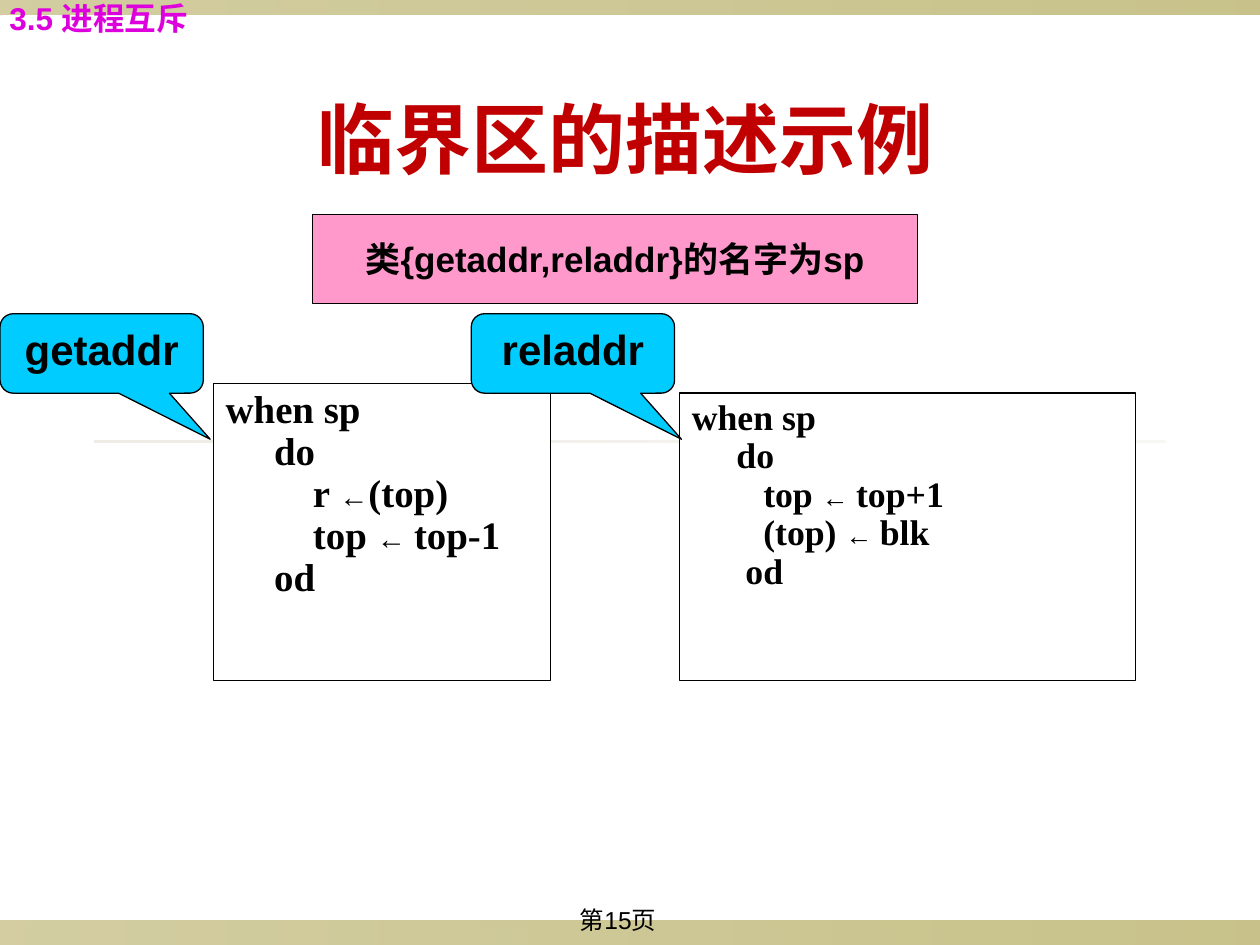
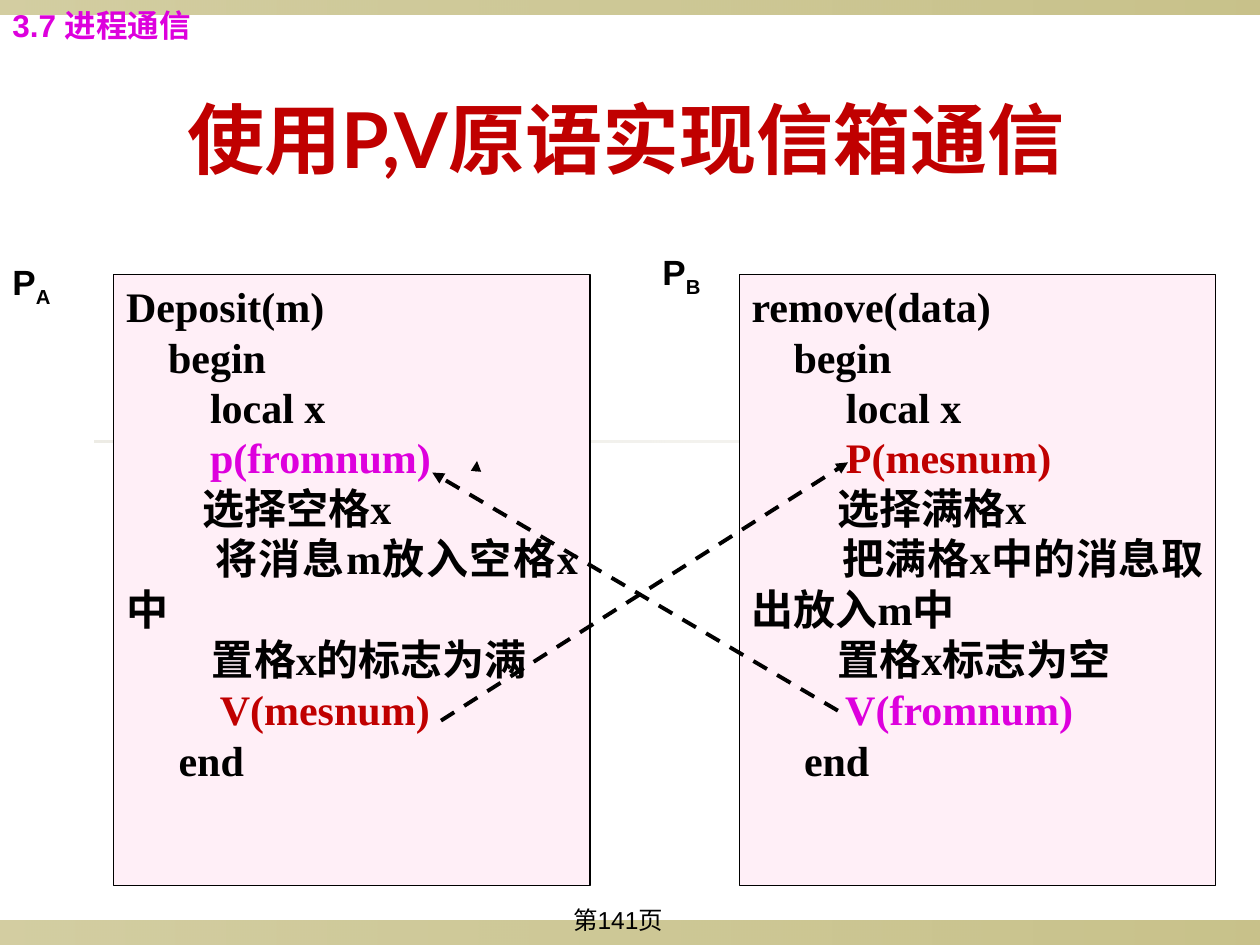
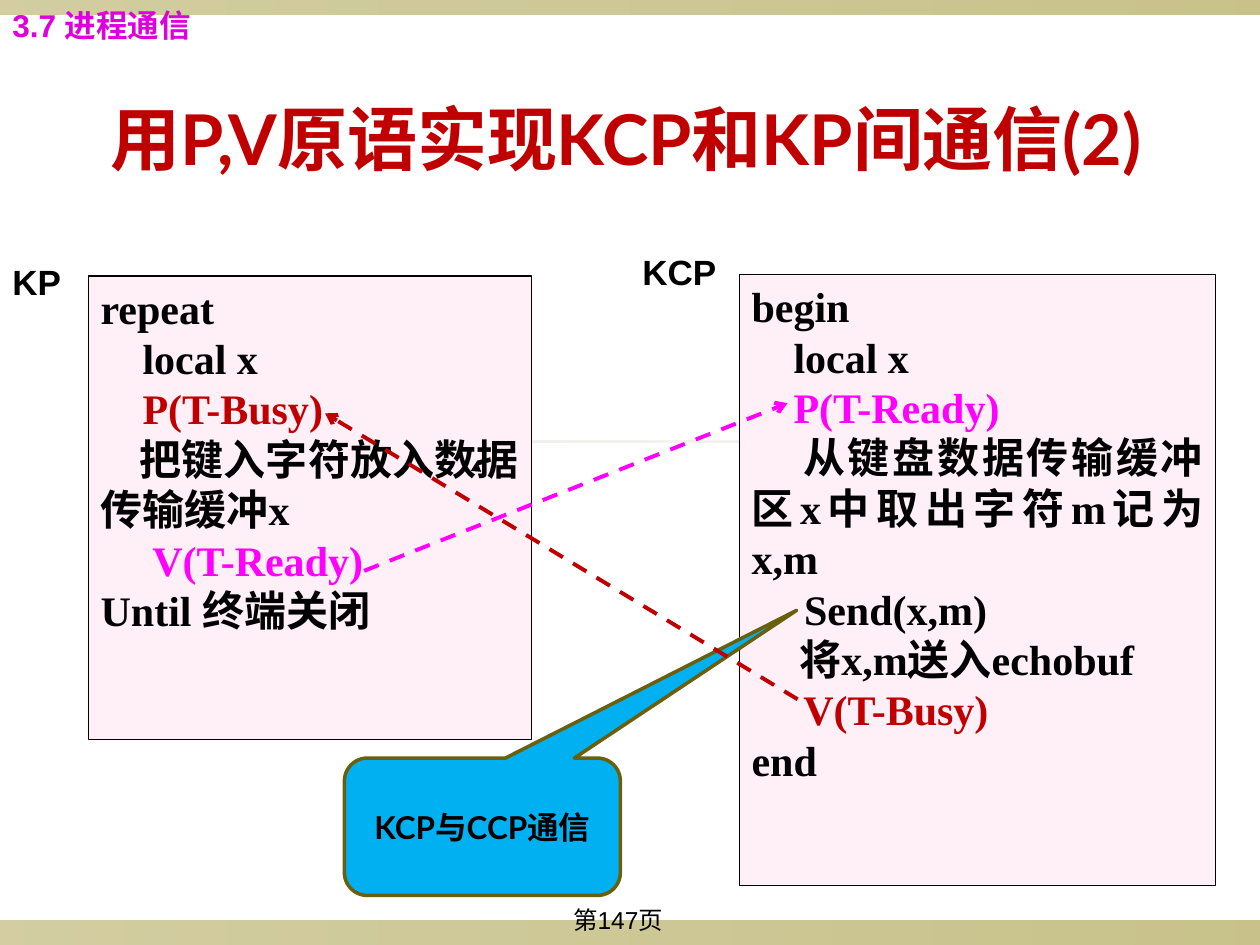
from dataclasses import dataclass, replace
from typing import NamedTuple

from lxml import etree
from pptx import Presentation
from pptx.dml.color import RGBColor
from pptx.enum.dml import MSO_LINE
from pptx.enum.shapes import MSO_CONNECTOR, MSO_SHAPE
from pptx.enum.text import MSO_ANCHOR, PP_ALIGN
from pptx.oxml.ns import qn
from pptx.util import Pt

RECTANGLE = MSO_SHAPE.RECTANGLE
CALLOUT = MSO_SHAPE.ROUNDED_RECTANGULAR_CALLOUT
STRAIGHT = MSO_CONNECTOR.STRAIGHT
DASH = MSO_LINE.DASH
LEFT, CENTER, JUSTIFY = PP_ALIGN.LEFT, PP_ALIGN.CENTER, PP_ALIGN.JUSTIFY
TOP, MIDDLE = MSO_ANCHOR.TOP, MSO_ANCHOR.MIDDLE

BLACK = RGBColor(0x00, 0x00, 0x00)
WHITE = RGBColor(0xFF, 0xFF, 0xFF)
OLIVE = RGBColor(0x91, 0x84, 0x15)
SAND = RGBColor(0xDC, 0xD9, 0xCC)
RED = RGBColor(0xC0, 0x00, 0x00)
PURPLE = RGBColor(0xDD, 0x00, 0xDD)
MAGENTA = RGBColor(0xFF, 0x00, 0xFF)
PINK = RGBColor(0xFF, 0x99, 0xCC)
PALE_PINK = RGBColor(0xFF, 0xEF, 0xF7)
CYAN = RGBColor(0x00, 0xCC, 0xFF)
SKY = RGBColor(0x00, 0xB0, 0xF0)
DARK_OLIVE = RGBColor(0x69, 0x5F, 0x0C)


class Area(NamedTuple):
    left: float
    top: float
    width: float
    height: float


class Point(NamedTuple):
    x: float
    y: float


class Band(NamedTuple):
    area: Area
    color: RGBColor
    opacities: tuple[int, int]


class Span(NamedTuple):
    text: str
    color: RGBColor | None = None
    font: str | None = None
    scale: float = 1
    baseline: int = 0


Line = str | Span | tuple[Span, ...]


@dataclass(frozen=True)
class Style:
    font: str
    size: float
    color: RGBColor = BLACK
    bold: bool = True
    align: PP_ALIGN = LEFT
    anchor: MSO_ANCHOR = TOP
    spacing: float = 1
    wrap: bool = True


@dataclass(frozen=True)
class Panel:
    area: Area
    lines: tuple[Line, ...]
    style: Style
    fill: RGBColor
    border: RGBColor = BLACK
    border_width: float = 0.75
    pointer: tuple[float, float] | None = None


@dataclass(frozen=True)
class Arrow:
    start: Point
    end: Point
    color: RGBColor = BLACK
    width: float = 2.25
    dashed: bool = True
    head: str = "triangle"


@dataclass(frozen=True)
class Label:
    area: Area
    lines: tuple[Line, ...]
    style: Style


@dataclass(frozen=True)
class Page:
    number: int
    title: str
    title_size: float
    section: Label
    items: tuple[Panel | Label | Arrow, ...]


BANDS = (
    Band(Area(0, 525.9, 720, 14.1), OLIVE, (40, 50)),
    Band(Area(0, 0, 720, 8.4), OLIVE, (40, 50)),
    Band(Area(54, 251.7, 612, 1.4), SAND, (50, 20)),
)
TITLE_AREA = Area(33.8, 33.8, 648, 90)
PAGE_AREA = Area(269.3, 513.8, 167.8, 25.9)

TITLE = Style("Lato", 44, RED, align=CENTER, anchor=MIDDLE)
PAGE_NUMBER = Style("Arial", 14, bold=False, align=CENTER)
SECTION = Style("Arial", 18, PURPLE)
PROCESS = Style("Arial", 20)
CODE = Style("Times New Roman", 24, align=JUSTIFY)
GETADDR_CODE = replace(CODE, size=22.2, spacing=0.9)
RELADDR_CODE = replace(CODE, size=20.4, spacing=0.9)
CLASS_NAME = Style("Arial", 20, align=CENTER, anchor=MIDDLE, wrap=False)
PROCEDURE = Style("Arial", 24, align=CENTER)
REMARK = Style("Lato", 18, align=CENTER, anchor=MIDDLE)

EXCLUSION = Label(Area(-1.7, 0, 126, 24.5), ("3.5 进程互斥",), replace(SECTION, spacing=0.8))
COMMUNICATION = Label(Area(0, 0, 139, 28.8), ("3.7 进程通信",), SECTION)
LEFT_PROCESS = Area(0, 145.4, 48.2, 34.6)
DEPOSIT_AREA = Area(65, 156.8, 272.2, 349.2)
RECEIVER_AREA = DEPOSIT_AREA._replace(left=422.4)
GETADDR_AREA = Area(0, 179.3, 116.2, 45.4)
PROCEDURE_POINTER = (0.534, 1.08)
SMALL_ARROW = Arrow(Point(272, 269.4), Point(272.6, 263.4), width=0.75, dashed=False)


def assign(before: str, after: str, gap: str = " ") -> tuple[Span, ...]:
    return Span(before), Span("←" + gap, font="Arial", scale=0.75), Span(after)


def process_name(index: str) -> tuple[Span, ...]:
    return Span("P"), Span(index, baseline=-25000)


def write(shape, lines: tuple[Line, ...], style: Style) -> None:
    frame = shape.text_frame
    for name, value in {"word_wrap": style.wrap, "vertical_anchor": style.anchor}.items():
        setattr(frame, name, value)
    for index, line in enumerate(lines):
        paragraph = frame.add_paragraph() if index else frame.paragraphs[0]
        for name, value in {"alignment": style.align, "line_spacing": style.spacing}.items():
            setattr(paragraph, name, value)
        if isinstance(line, str):
            line = Span(line)
        for span in (line,) if isinstance(line, Span) else line:
            run = paragraph.add_run()
            run.text = span.text
            font_format = {
                "name": span.font or style.font,
                "size": Pt(style.size * span.scale),
                "bold": style.bold,
            }
            for name, value in font_format.items():
                setattr(run.font, name, value)
            run.font.color.rgb = span.color or style.color
            if span.baseline:
                run._r.get_or_add_rPr().set("baseline", str(span.baseline))


def draw_band(slide, band: Band) -> None:
    shape = slide.shapes.add_shape(RECTANGLE, *map(Pt, band.area))
    shape.shadow.inherit = False
    shape.line.fill.background()
    shape.fill.gradient()
    shape.fill.gradient_angle = 0
    for stop in shape.fill.gradient_stops:
        stop.color.rgb = band.color
    colors = shape._element.spPr.iter(qn("a:srgbClr"))
    for color, opacity in zip(colors, band.opacities):
        etree.SubElement(color, qn("a:alpha")).set("val", str(opacity * 1000))


def draw_label(slide, label: Label) -> None:
    write(slide.shapes.add_textbox(*map(Pt, label.area)), label.lines, label.style)


def draw_panel(slide, panel: Panel) -> None:
    outline = CALLOUT if panel.pointer else RECTANGLE
    shape = slide.shapes.add_shape(outline, *map(Pt, panel.area))
    shape.shadow.inherit = False
    for index, value in enumerate(panel.pointer or ()):
        shape.adjustments[index] = value
    shape.fill.solid()
    shape.fill.fore_color.rgb = panel.fill
    shape.line.color.rgb = panel.border
    shape.line.width = Pt(panel.border_width)
    write(shape, panel.lines, panel.style)


def draw_arrow(slide, arrow: Arrow) -> None:
    connector = slide.shapes.add_connector(STRAIGHT, *map(Pt, arrow.start + arrow.end))
    connector.line.color.rgb = arrow.color
    connector.line.width = Pt(arrow.width)
    if arrow.dashed:
        connector.line.dash_style = DASH
    properties = connector._element.spPr
    etree.SubElement(properties.find(qn("a:ln")), qn("a:tailEnd")).set("type", arrow.head)
    etree.SubElement(properties, qn("a:effectLst"))


DRAW = {Panel: draw_panel, Label: draw_label, Arrow: draw_arrow}

CRITICAL_SECTION = Page(
    15,
    "临界区的描述示例",
    44,
    EXCLUSION,
    (
        Panel(
            Area(121.9, 219.2, 192.7, 169.9),
            (
                "when sp",
                "     do",
                assign("         r ", "(top)", ""),
                assign("         top ", "top-1"),
                "     od",
            ),
            GETADDR_CODE,
            WHITE,
        ),
        Panel(
            Area(388.3, 224.6, 260.8, 164.4),
            (
                "when sp",
                "     do",
                assign("        top ", "top+1"),
                assign("        (top) ", "blk"),
                "      od",
            ),
            RELADDR_CODE,
            WHITE,
        ),
        Panel(
            Area(178.6, 122.4, 345.6, 51.1),
            ("类{getaddr,reladdr}的名字为sp",),
            CLASS_NAME,
            PINK,
        ),
        Panel(GETADDR_AREA, ("getaddr",), PROCEDURE, CYAN, pointer=PROCEDURE_POINTER),
        Panel(
            GETADDR_AREA._replace(left=269.3),
            ("reladdr",),
            PROCEDURE,
            CYAN,
            pointer=PROCEDURE_POINTER,
        ),
    ),
)

MAILBOX = Page(
    141,
    "使用P,V原语实现信箱通信",
    44,
    COMMUNICATION,
    (
        Panel(
            DEPOSIT_AREA,
            (
                "Deposit(m)",
                "    begin",
                "        local x",
                Span("        p(fromnum)", PURPLE),
                "        选择空格x",
                "        将消息m放入空格x中",
                "         置格x的标志为满",
                Span("         V(mesnum)", RED),
                "     end",
            ),
            CODE,
            PALE_PINK,
        ),
        Label(LEFT_PROCESS, (process_name("A"),), PROCESS),
        Label(LEFT_PROCESS._replace(left=371.5, top=139.7), (process_name("B"),), PROCESS),
        Panel(
            RECEIVER_AREA,
            (
                "remove(data)",
                "    begin",
                "         local x",
                Span("         P(mesnum)", RED),
                "         选择满格x",
                "         把满格x中的消息取出放入m中",
                "         置格x标志为空",
                Span("         V(fromnum)", PURPLE),
                "     end",
            ),
            CODE,
            PALE_PINK,
        ),
        SMALL_ARROW,
        Arrow(Point(252, 411.8), Point(484.6, 264.2)),
        Arrow(Point(478.8, 406.1), Point(247, 270)),
    ),
)

KEYBOARD = Page(
    147,
    "用P,V原语实现KCP和KP间通信(2)",
    40,
    COMMUNICATION,
    (
        Panel(
            Area(50.4, 157.7, 253.4, 265),
            (
                "repeat",
                "    local x",
                Span("    P(T-Busy)", RED),
                "    把键入字符放入数据传输缓冲x",
                Span("     V(T-Ready)", MAGENTA),
                "Until 终端关闭",
            ),
            CODE,
            PALE_PINK,
        ),
        Label(LEFT_PROCESS._replace(height=31.7), ("KP",), PROCESS),
        Label(Area(360, 139.7, 59.8, 31.7), ("KCP",), PROCESS),
        Panel(
            RECEIVER_AREA,
            (
                "begin",
                "    local x",
                Span("    P(T-Ready)", MAGENTA),
                "    从键盘数据传输缓冲区x中取出字符m记为x,m",
                "     Send(x,m)",
                "     将x,m送入echobuf",
                Span("     V(T-Busy)", RED),
                "end",
            ),
            CODE,
            PALE_PINK,
        ),
        SMALL_ARROW,
        Panel(
            Area(196.8, 433.2, 157.7, 78.5),
            ("KCP与CCP通信",),
            REMARK,
            SKY,
            DARK_OLIVE,
            2,
            (1.139, -1.576),
        ),
        Arrow(Point(455.8, 399.6), Point(185.8, 236.2), RED, head="arrow"),
        Arrow(Point(208.1, 326.2), Point(450, 230.4), MAGENTA, head="arrow"),
    ),
)


def draw_page(presentation, page: Page) -> None:
    slide = presentation.slides.add_slide(presentation.slide_layouts[6])
    for band in BANDS:
        draw_band(slide, band)
    draw_label(slide, Label(PAGE_AREA, (f"第{page.number}页",), PAGE_NUMBER))
    draw_label(slide, Label(TITLE_AREA, (page.title,), replace(TITLE, size=page.title_size)))
    for item in page.items:
        DRAW[type(item)](slide, item)
    draw_label(slide, page.section)


def main() -> None:
    presentation = Presentation()
    presentation.slide_width = Pt(720)
    presentation.slide_height = Pt(540)
    for page in (CRITICAL_SECTION, MAILBOX, KEYBOARD):
        draw_page(presentation, page)
    presentation.save("out.pptx")


if __name__ == "__main__":
    main()
